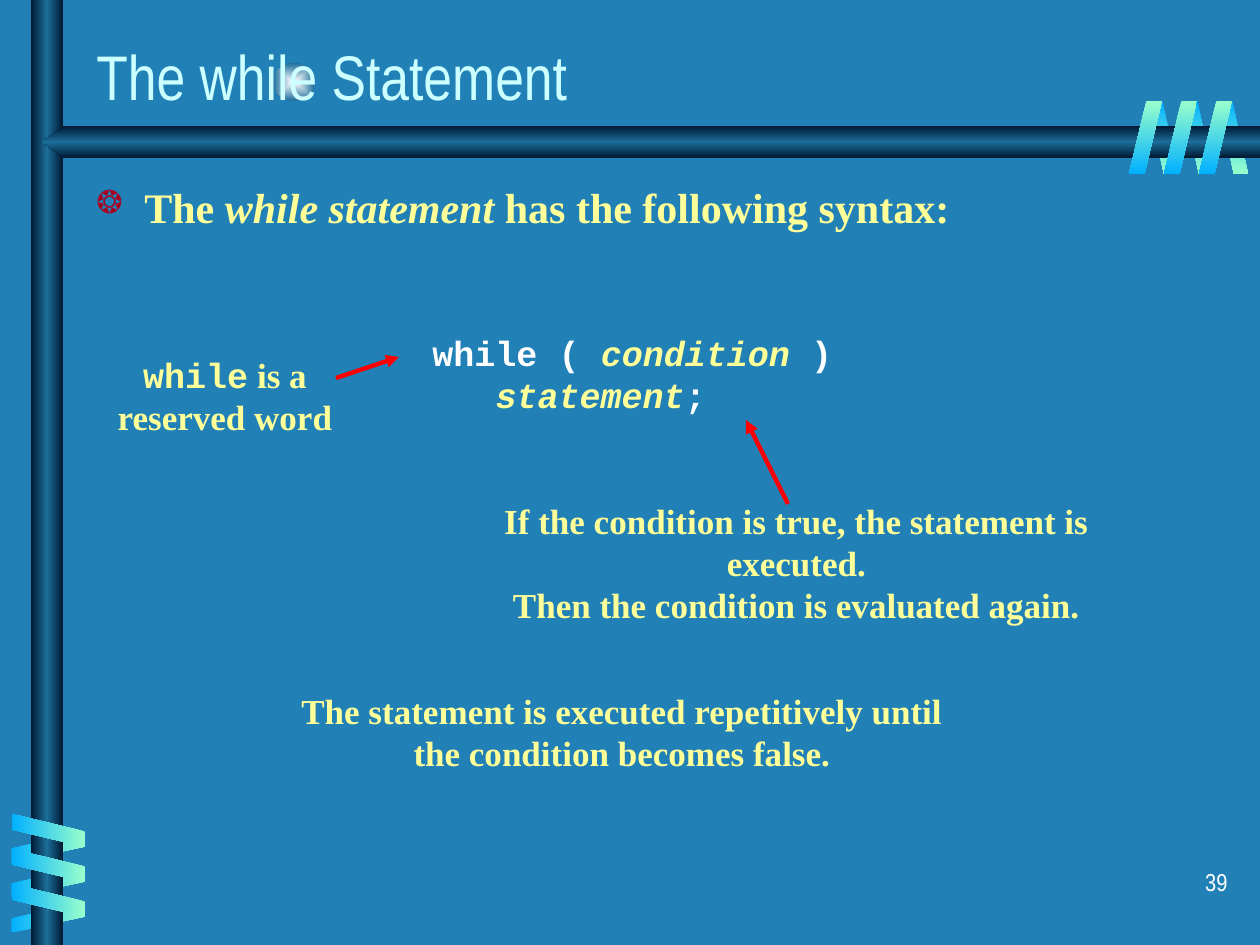
from dataclasses import dataclass

from lxml import etree
from pptx import Presentation, util as u
from pptx.dml.color import RGBColor
from pptx.enum import shapes, text
from pptx.oxml import parse_xml
from pptx.oxml.ns import nsdecls, qn

EMU_PER_PX = 914400 / 126
COLORS = {
    "background": "2181B7", "dark": "001932", "steel": "1C6D9A", "glow": "FEFFFF",
    "blue": "01B0FF", "mint": "99FFCC", "title": "CCFFFF", "yellow": "FFFF99",
    "white": "FFFFFF", "red": "FF0000", "bullet": "A50021",
}
SERIF = {"name": "Times New Roman", "size": u.Pt(20), "bold": True}
CODE = {"name": "Courier New", "size": u.Pt(20), "bold": True}
STYLES = {
    "title": ({"name": "Arial Narrow", "size": u.Pt(36)}, "title"),
    "body": (SERIF | {"size": u.Pt(24)}, "yellow"),
    "body italic": (SERIF | {"size": u.Pt(24), "italic": True}, "yellow"),
    "note": (SERIF, "yellow"),
    "keyword": (CODE, "yellow"),
    "code": (CODE, "white"),
    "placeholder": (CODE | {"italic": True}, "yellow"),
    "number": ({"name": "Arial Narrow", "size": u.Pt(14)}, "white"),
}
LEFT, CENTER, RIGHT = text.PP_ALIGN.LEFT, text.PP_ALIGN.CENTER, text.PP_ALIGN.RIGHT
TOP, MIDDLE = text.MSO_ANCHOR.TOP, text.MSO_ANCHOR.MIDDLE
BAR_STOPS = ("dark", "steel", "dark")
RIBBON_STEP = 35


@dataclass(frozen=True)
class Coil:
    """Three parallel ribbons, each one step on from the last."""
    left: int
    top: int
    width: int
    vertical: bool
    rotation: int
    flipped: bool
    stops: tuple


@dataclass(frozen=True)
class TextBlock:
    box: tuple
    paragraphs: tuple
    align: text.PP_ALIGN = LEFT
    anchor: text.MSO_ANCHOR = MIDDLE
    fitted: bool = False
    bulleted: bool = False


@dataclass(frozen=True)
class Arrow:
    start: tuple
    end: tuple


BACK_COILS = (
    Coil(1148, 101, 30, False, 180, True, ("blue", "mint")),
    Coil(33, 811, 30, True, 90, True, ("blue", "mint")),
)
FRONT_COILS = (
    Coil(32, 794, 33, True, 270, False, ("mint", "blue")),
    Coil(1129, 101, 33, False, 0, False, ("mint", "blue")),
)
TEXT_BLOCKS = (
    TextBlock((84, 28, 1046, 94), ((("The while Statement", "title"),),)),
    TextBlock((84, 175, 1144, 108), ((
        ("The ", "body"), ("while statement", "body italic"),
        (" has the following syntax:", "body")),), anchor=TOP, bulleted=True),
    TextBlock((420, 325, 425, 97), (
        (("while ( ", "code"), ("condition", "placeholder"), (" )", "code")),
        (("   ", "code"), ("statement", "placeholder"), (";", "code"))), fitted=True),
    TextBlock((105, 347, 240, 97), (
        (("while", "keyword"), (" is a", "note")),
        (("reserved word", "note"),)), CENTER, fitted=True),
    TextBlock((418, 514, 757, 97), (
        (("If the condition is true, the statement is executed.", "note"),),
        (("Then the condition is evaluated again.", "note"),)), CENTER, fitted=True),
    TextBlock((289, 683, 666, 97), (
        (("The statement is executed repetitively until", "note"),),
        (("the condition becomes false.", "note"),)), CENTER, fitted=True),
    TextBlock((978, 861, 262, 63), ((("39", "number"),),), RIGHT, TOP),
)
ARROWS = (Arrow((336, 378), (399, 357)), Arrow((788, 504), (746, 420)))


def px(*lengths: int) -> list:
    return [u.Emu(round(length * EMU_PER_PX)) for length in lengths]


def color(name: str) -> RGBColor:
    return RGBColor.from_string(COLORS[name])


def paint_gradient(shape, stops: tuple, angle: int | None) -> None:
    """Fill with evenly spaced stops; no angle means outward from the centre."""
    shape.shadow.inherit = False
    shape.line.fill.background()
    shape.fill.background()
    marks = "".join(
        f'<a:gs pos="{100000 * index // (len(stops) - 1)}">'
        f'<a:srgbClr val="{COLORS[name]}"/></a:gs>'
        for index, name in enumerate(stops))
    if angle is None:
        direction = ('<a:path path="rect"><a:fillToRect l="50000" t="50000" '
                     'r="50000" b="50000"/></a:path>')
    else:
        direction = f'<a:lin ang="{angle * 60000}" scaled="1"/>'
    gradient = parse_xml(f'<a:gradFill rotWithShape="0" {nsdecls("a")}>'
                         f'<a:gsLst>{marks}</a:gsLst>{direction}</a:gradFill>')
    properties = shape._element.spPr
    properties.replace(properties.find(qn("a:noFill")), gradient)


def draw_preset(slide, kind, box: tuple, stops: tuple, angle: int | None):
    shape = slide.shapes.add_shape(kind, *px(*box))
    paint_gradient(shape, stops, angle)
    return shape


def draw_coil(slide, coil: Coil) -> None:
    for index in range(3):
        shift = index * RIBBON_STEP
        left = coil.left + (0 if coil.vertical else shift)
        top = coil.top + (shift if coil.vertical else 0)
        ribbon = draw_preset(slide, shapes.MSO_SHAPE.PARALLELOGRAM,
                             (left, top, coil.width, 73), coil.stops,
                             180 if coil.vertical else 90)
        ribbon.adjustments[0] = 0.53
        ribbon.rotation = coil.rotation
        if coil.flipped:
            ribbon._element.spPr.xfrm.set("flipH", "1")


def draw_crossbar(slide) -> None:
    builder = slide.shapes.build_freeform(1260, 126, scale=EMU_PER_PX)
    builder.add_line_segments([(63, 126), (42, 142), (63, 158), (1260, 158)], close=True)
    paint_gradient(builder.convert_to_shape(), BAR_STOPS, 90)


def add_bullet(paragraph) -> None:
    properties = paragraph._p.get_or_add_pPr()
    indent = px(48)[0]
    properties.set("marL", str(indent))
    properties.set("indent", str(-indent))
    bullet_color = etree.SubElement(properties, qn("a:buClr"))
    etree.SubElement(bullet_color, qn("a:srgbClr"), val=COLORS["bullet"])
    etree.SubElement(properties, qn("a:buSzPct"), val="75000")
    etree.SubElement(properties, qn("a:buChar"), char="❂")


def draw_text(slide, block: TextBlock) -> None:
    frame = slide.shapes.add_textbox(*px(*block.box)).text_frame
    frame.word_wrap = not block.fitted
    frame.vertical_anchor = block.anchor
    if block.fitted:
        frame.auto_size = text.MSO_AUTO_SIZE.SHAPE_TO_FIT_TEXT
    for index, runs in enumerate(block.paragraphs):
        paragraph = frame.add_paragraph() if index else frame.paragraphs[0]
        paragraph.alignment = block.align
        if block.bulleted:
            add_bullet(paragraph)
        for words, style in runs:
            run = paragraph.add_run()
            run.text = words
            font_format, color_name = STYLES[style]
            for attribute, value in font_format.items():
                setattr(run.font, attribute, value)
            run.font.color.rgb = color(color_name)


def draw_arrow(slide, arrow: Arrow) -> None:
    connector = slide.shapes.add_connector(
        shapes.MSO_CONNECTOR.STRAIGHT, *px(*arrow.start, *arrow.end))
    connector.line.color.rgb = color("red")
    connector.line.width = u.Pt(2.5)
    properties = connector._element.spPr
    etree.SubElement(properties.find(qn("a:ln")), qn("a:tailEnd"), type="triangle")
    etree.SubElement(properties, qn("a:effectLst"))


def main() -> None:
    presentation = Presentation()
    presentation.slide_width, presentation.slide_height = px(1260, 945)
    slide = presentation.slides.add_slide(presentation.slide_layouts[6])
    slide.background.fill.solid()
    slide.background.fill.fore_color.rgb = color("background")
    draw_preset(slide, shapes.MSO_SHAPE.OVAL, (273, 63, 42, 38), ("glow", "steel"), None)
    for coil in BACK_COILS:
        draw_coil(slide, coil)
    draw_preset(slide, shapes.MSO_SHAPE.RECTANGLE, (31, 0, 32, 945), BAR_STOPS, 180)
    draw_crossbar(slide)
    for coil in FRONT_COILS:
        draw_coil(slide, coil)
    for block in TEXT_BLOCKS:
        draw_text(slide, block)
    for arrow in ARROWS:
        draw_arrow(slide, arrow)
    presentation.save("out.pptx")


if __name__ == "__main__":
    main()
